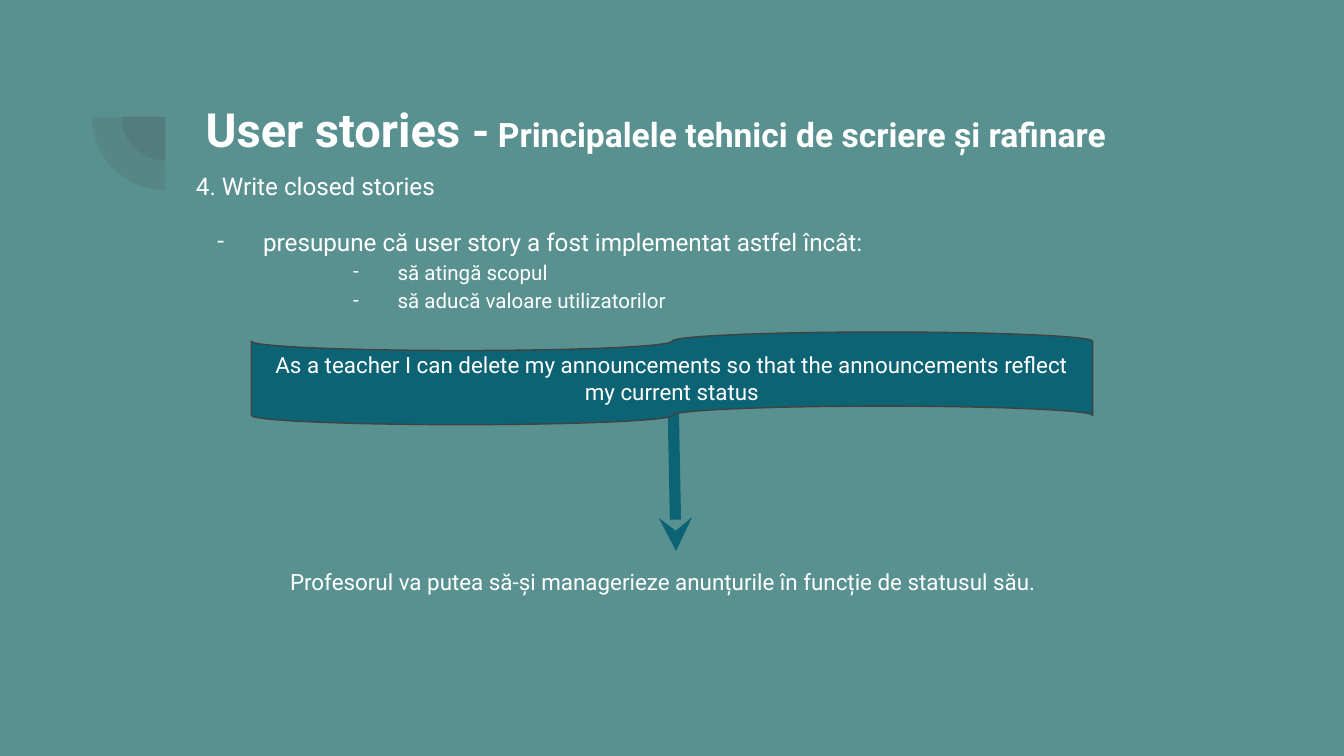
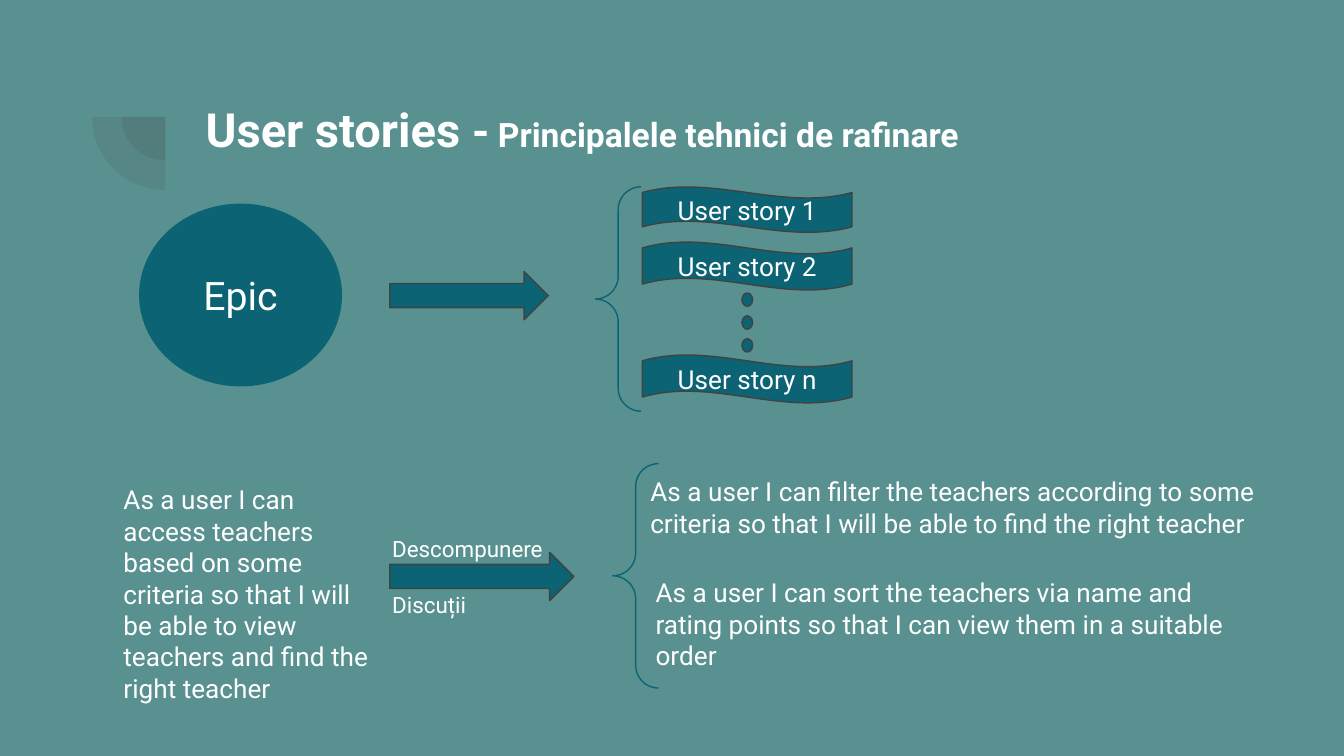
"""Builds two slides on techniques for writing and refining user stories."""
from lxml import etree
from pptx import Presentation
from pptx.dml.color import RGBColor
from pptx.enum.shapes import MSO_CONNECTOR, MSO_SHAPE
from pptx.enum.text import MSO_ANCHOR, MSO_AUTO_SIZE, PP_ALIGN
from pptx.oxml.ns import qn
from pptx.util import Inches, Pt

SAGE = RGBColor(0x59, 0x91, 0x91)
TEAL = RGBColor(0x0B, 0x63, 0x74)
GRAY = RGBColor(0x42, 0x42, 0x42)
WHITE = RGBColor(0xFF, 0xFF, 0xFF)
FONT = "Roboto"
TOP, MIDDLE, BOTTOM = MSO_ANCHOR.TOP, MSO_ANCHOR.MIDDLE, MSO_ANCHOR.BOTTOM
LEFT, CENTER = PP_ALIGN.LEFT, PP_ALIGN.CENTER
NO_AUTOFIT = MSO_AUTO_SIZE.NONE
STRAIGHT = MSO_CONNECTOR.STRAIGHT
TAPE, PIE, WAVE = MSO_SHAPE.FLOWCHART_PUNCHED_TAPE, MSO_SHAPE.PIE, MSO_SHAPE.WAVE
OVAL, ARROW, BRACE = MSO_SHAPE.OVAL, MSO_SHAPE.RIGHT_ARROW, MSO_SHAPE.LEFT_BRACE

TITLE_LEAD = [("User stories ", 25.2), ("-", 23.9), (" ", 18.2)]
PIE_CENTER = (1.23, 0.87)
PIE_SIZES = [0.65, 1.09]

WRITING_TITLE = "Principalele tehnici de scriere și rafinare"
# (text, size, level, left margin, hanging indent, space before)
CLOSED_STORIES = [
    ("4. Write closed stories", 13, 0, 0, 0, 0),
    ("presupune că user story a fost implementat astfel încât:", 13, 0, 0.5, -0.34, 12),
    ("să atingă scopul", 11, 1, 1.5, -0.33, 0),
    ("să aducă valoare utilizatorilor", 11, 1, 1.5, -0.33, 0),
]
EXAMPLE = ("As a teacher I can delete my announcements so that "
           "the announcements reflect my current status")
OUTCOME = [("Profesorul va putea să-și managerieze anunțurile în funcție de "
            "statusul său.", 12, 0, 0, 0, 0)]

REFINING_TITLE = "Principalele tehnici de rafinare"
STORIES = [("User story 1", 1.39, 0.34), ("User story 2", 1.8, 0.36),
           ("User story n", 2.64, 0.36)]
ARROWS = [(2.9, 2.02, 1.18, 0.36), (2.9, 4.11, 1.37, 0.36)]
BRACES = [(4.43, 1.39, 0.34, 1.67), (4.56, 3.45, 0.34, 1.67)]
NOTES = [
    ("As a user I can access teachers based on some criteria so that I will "
     "be able to view teachers and find the right teacher",
     (0.82, 3.5, 2.08, 1.85), 14, TOP),
    ("As a user I can filter the teachers according to some criteria so that "
     "I will be able to find the right teacher",
     (4.74, 3.44, 5.19, 0.75), 14, TOP),
    ("As a user I can sort the teachers via name and rating points so that "
     "I can view them in a suitable order",
     (4.78, 4.19, 4.56, 0.9), 14, TOP),
    ("Discuții", (2.82, 4.43, 0.92, 0.27), 12, BOTTOM),
    ("Descompunere", (2.82, 3.88, 1.4, 0.36), 12, TOP),
]


def inches(box):
    return [Inches(v) for v in box]


def set_frame(tf, anchor):
    tf.word_wrap = True
    tf.auto_size = NO_AUTOFIT
    tf.vertical_anchor = anchor
    tf.margin_left = tf.margin_right = tf.margin_top = tf.margin_bottom = Inches(0.1)


def style(r, size, bold=False):
    r.font.name, r.font.size, r.font.bold = FONT, Pt(size), bold
    r.font.color.rgb = WHITE


def write(s, text, size, anchor=TOP, align=LEFT):
    set_frame(s.text_frame, anchor)
    p = s.text_frame.paragraphs[0]
    p.text, p.alignment = text, align
    style(p.runs[0], size)


def add_shape(slide, kind, box, fill=TEAL, line=GRAY):
    s = slide.shapes.add_shape(kind, *inches(box))
    s.shadow.inherit = False
    if fill is None:
        s.fill.background()
    else:
        s.fill.solid()
        s.fill.fore_color.rgb = fill
    if line is None:
        s.line.fill.background()
    else:
        s.line.color.rgb = line
        s.line.width = Pt(0.75)
    return s


def add_slide(prs, topic):
    slide = prs.slides.add_slide(prs.slide_layouts[5])
    for size in PIE_SIZES:
        x, y = (c - size / 2 for c in PIE_CENTER)
        s = add_shape(slide, PIE, (x, y, size, size), GRAY, None)
        s.rotation = 270
        s.adjustments[0], s.adjustments[1] = 108, 162
        color = s.element.spPr.find(qn("a:solidFill"))[0]
        etree.SubElement(color, qn("a:alpha"), val="13000")
    title = slide.shapes.title
    title.left, title.top, title.width, title.height = inches((1.43, 0.65, 7.69, 0.62))
    set_frame(title.text_frame, MIDDLE)
    p = title.text_frame.paragraphs[0]
    p.alignment = LEFT
    for text, size in TITLE_LEAD + [(topic, 18)]:
        r = p.add_run()
        r.text = text
        style(r, size, True)
    return slide


def add_dash(p, margin, indent):
    pPr = p._p.get_or_add_pPr()
    pPr.set("marL", str(Inches(margin)))
    pPr.set("indent", str(Inches(indent)))
    color = etree.SubElement(pPr, qn("a:buClr"))
    etree.SubElement(color, qn("a:srgbClr"), val=str(WHITE))
    etree.SubElement(pPr, qn("a:buFont"), typeface=FONT)
    etree.SubElement(pPr, qn("a:buChar"), char="-")


def add_outline(slide, box, items):
    tf = slide.shapes.add_textbox(*inches(box)).text_frame
    set_frame(tf, TOP)
    for i, (text, size, level, margin, indent, before) in enumerate(items):
        p = tf.add_paragraph() if i else tf.paragraphs[0]
        p.text, p.level = text, level
        if indent:
            add_dash(p, margin, indent)
        p.line_spacing = 1.15
        p.space_before = Pt(before)
        style(p.runs[0], size)


def add_stealth_arrow(slide, start, end):
    c = slide.shapes.add_connector(STRAIGHT, *inches(start + end))
    c.line.color.rgb = TEAL
    c.line.width = Pt(6)
    spPr = c.element.spPr
    etree.SubElement(spPr.find(qn("a:ln")), qn("a:tailEnd"), type="stealth")
    etree.SubElement(spPr, qn("a:effectLst"))


def build_writing(prs):
    slide = add_slide(prs, WRITING_TITLE)
    add_stealth_arrow(slide, (5.01, 3.06), (5.03, 4.1))
    add_outline(slide, (1.36, 1.14, 7.69, 2.78), CLOSED_STORIES)
    tape = add_shape(slide, TAPE, (1.87, 2.47, 6.26, 0.69))
    write(tape, EXAMPLE, 12, MIDDLE, CENTER)
    add_outline(slide, (2.06, 4.1, 6.07, 0.51), OUTCOME)


def build_refining(prs):
    slide = add_slide(prs, REFINING_TITLE)
    epic = add_shape(slide, OVAL, (1.04, 1.52, 1.5, 1.35), line=TEAL)
    write(epic, "Epic", 21, MIDDLE, CENTER)
    for text, y, height in STORIES:
        s = add_shape(slide, WAVE, (4.78, y, 1.56, height))
        write(s, text, 14, MIDDLE, CENTER)
    for i in range(3):
        add_shape(slide, OVAL, (5.52, 2.18 + 0.17 * i, 0.08, 0.1))
    for box in ARROWS:
        add_shape(slide, ARROW, box)
    for box in BRACES:
        s = add_shape(slide, BRACE, box, None, TEAL)
        s.adjustments[0] = 0.5
    for text, box, size, anchor in NOTES:
        write(slide.shapes.add_textbox(*inches(box)), text, size, anchor)


def main():
    prs = Presentation()
    prs.slide_width, prs.slide_height = Inches(10), Inches(5.625)
    fill = prs.slide_master.background.fill
    fill.solid()
    fill.fore_color.rgb = SAGE
    build_writing(prs)
    build_refining(prs)
    prs.save("out.pptx")


if __name__ == "__main__":
    main()
